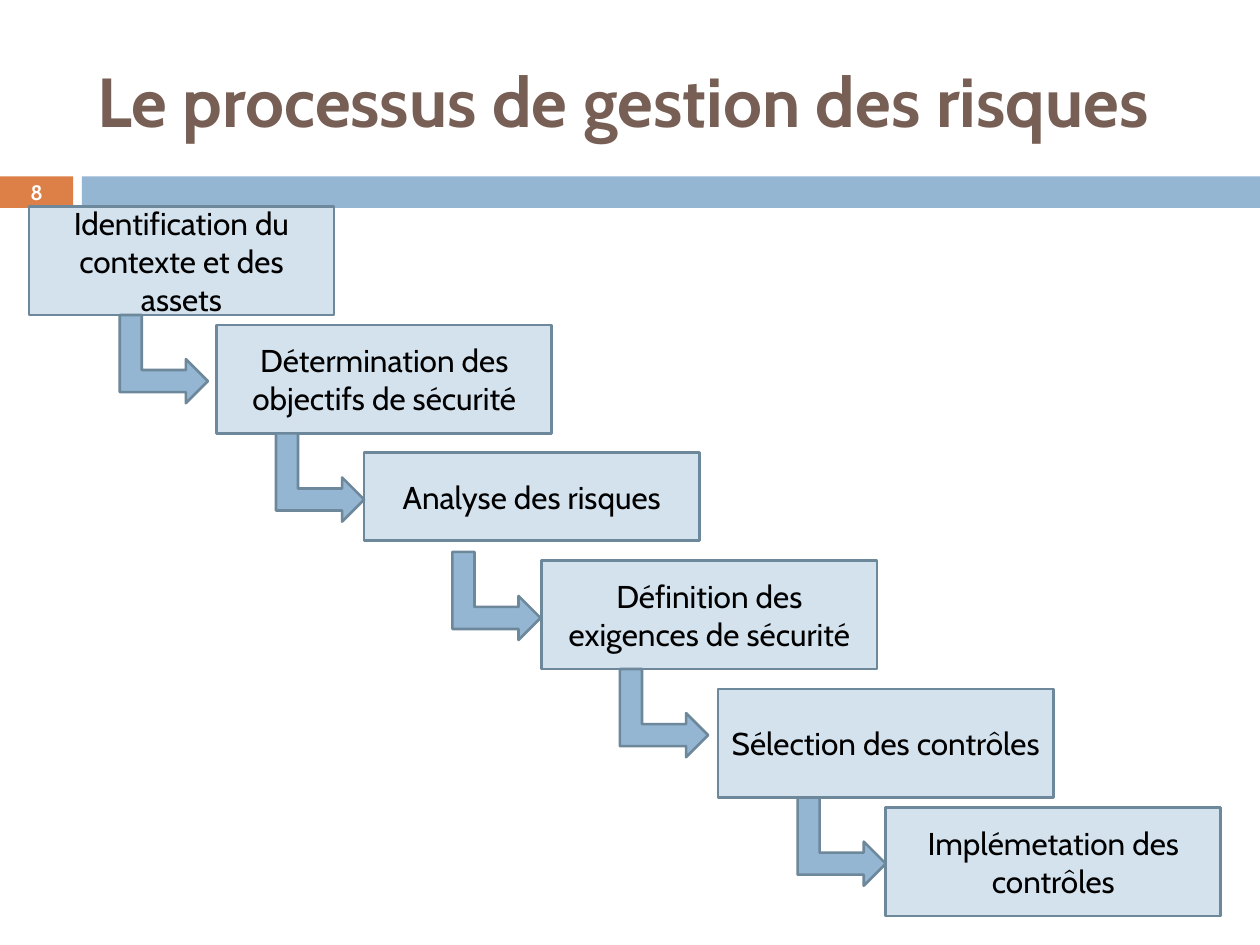
import pptx
import pptx.util
import pptx.dml.color
import pptx.enum.shapes
import pptx.enum.text

Inches = pptx.util.Inches
Pt = pptx.util.Pt
RGBColor = pptx.dml.color.RGBColor
Shape = pptx.enum.shapes.MSO_SHAPE
Align = pptx.enum.text.PP_ALIGN
Anchor = pptx.enum.text.MSO_ANCHOR

ORANGE = RGBColor(0xDD, 0x80, 0x47)
BLUE = RGBColor(0x94, 0xB6, 0xD2)
PALE = RGBColor(0xD4, 0xE2, 0xED)
SLATE = RGBColor(0x6D, 0x87, 0x9B)
BROWN = RGBColor(0x77, 0x5F, 0x55)
BLACK = RGBColor(0, 0, 0)
WHITE = RGBColor(255, 255, 255)

STEPS = [
    ("Identification du contexte et des assets", 0.23, 1.64, 2.42, 0.86),
    ("Détermination des objectifs de sécurité", 1.72, 2.58, 2.66, 0.86),
    ("Analyse des risques", 2.89, 3.59, 2.66, 0.7),
    ("Définition des exigences de sécurité", 4.3, 4.45, 2.66, 0.86),
    ("Sélection des contrôles", 5.7, 5.47, 2.66, 0.86),
    ("Implémetation des contrôles", 7.03, 6.41, 2.66, 0.86),
]
ARROWS = [(0.95, 2.5), (2.19, 3.44), (3.59, 4.38), (4.92, 5.31), (6.33, 6.33)]


def write(shape, text, size=18, color=BLACK, bold=False, align=Align.CENTER):
    frame = shape.text_frame
    frame.word_wrap = True
    frame.auto_size = pptx.enum.text.MSO_AUTO_SIZE.NONE
    frame.vertical_anchor = Anchor.MIDDLE
    para = frame.paragraphs[0]
    para.alignment = align
    run = para.add_run()
    run.text = text
    run.font.name = "Cabin"
    run.font.size = Pt(size)
    run.font.bold = bold
    run.font.color.rgb = color


class Deck:
    edge = SLATE
    width = Pt(1.5)

    def __init__(self, slide):
        self.slide = slide

    def title(self, text, *box):
        shape = self.slide.shapes.title
        shape.left, shape.top, shape.width, shape.height = map(Inches, box)
        write(shape, text, size=39.6, color=BROWN, bold=True, align=Align.LEFT)

    def shape(self, kind, fill, *box, line=True):
        shape = self.slide.shapes.add_shape(kind, *map(Inches, box))
        shape.shadow.inherit = False
        shape.fill.solid()
        shape.fill.fore_color.rgb = fill
        if line:
            shape.line.color.rgb = self.edge
            shape.line.width = self.width
        else:
            shape.line.fill.background()
        return shape

    def band(self, fill, left, width):
        self.shape(Shape.RECTANGLE, fill, left, 1.4, width, 0.25, line=False)

    def step(self, text, *box):
        write(self.shape(Shape.RECTANGLE, PALE, *box), text)

    def arrow(self, left, top):
        self.shape(Shape.BENT_UP_ARROW, BLUE, left, top, 0.7, 0.7).rotation = 90

    def label(self, text, *box, **style):
        shape = self.slide.shapes.add_textbox(*map(Inches, box))
        write(shape, text, **style)


def main():
    prs = pptx.Presentation()
    prs.slide_width = Inches(10)
    prs.slide_height = Inches(7.5)
    deck = Deck(prs.slides.add_slide(prs.slide_layouts[5]))
    deck.band(ORANGE, 0, 0.58)
    deck.band(BLUE, 0.65, 9.35)
    deck.title("Le processus de gestion des risques", 0.67, 0.25, 8.92, 1.08)
    for step in STEPS:
        deck.step(*step)
    for spot in ARROWS:
        deck.arrow(*spot)
    deck.label("8", 0, 1.39, 0.58, 0.27, size=11.9, color=WHITE, bold=True)
    prs.save("out.pptx")


if __name__ == "__main__":
    main()
